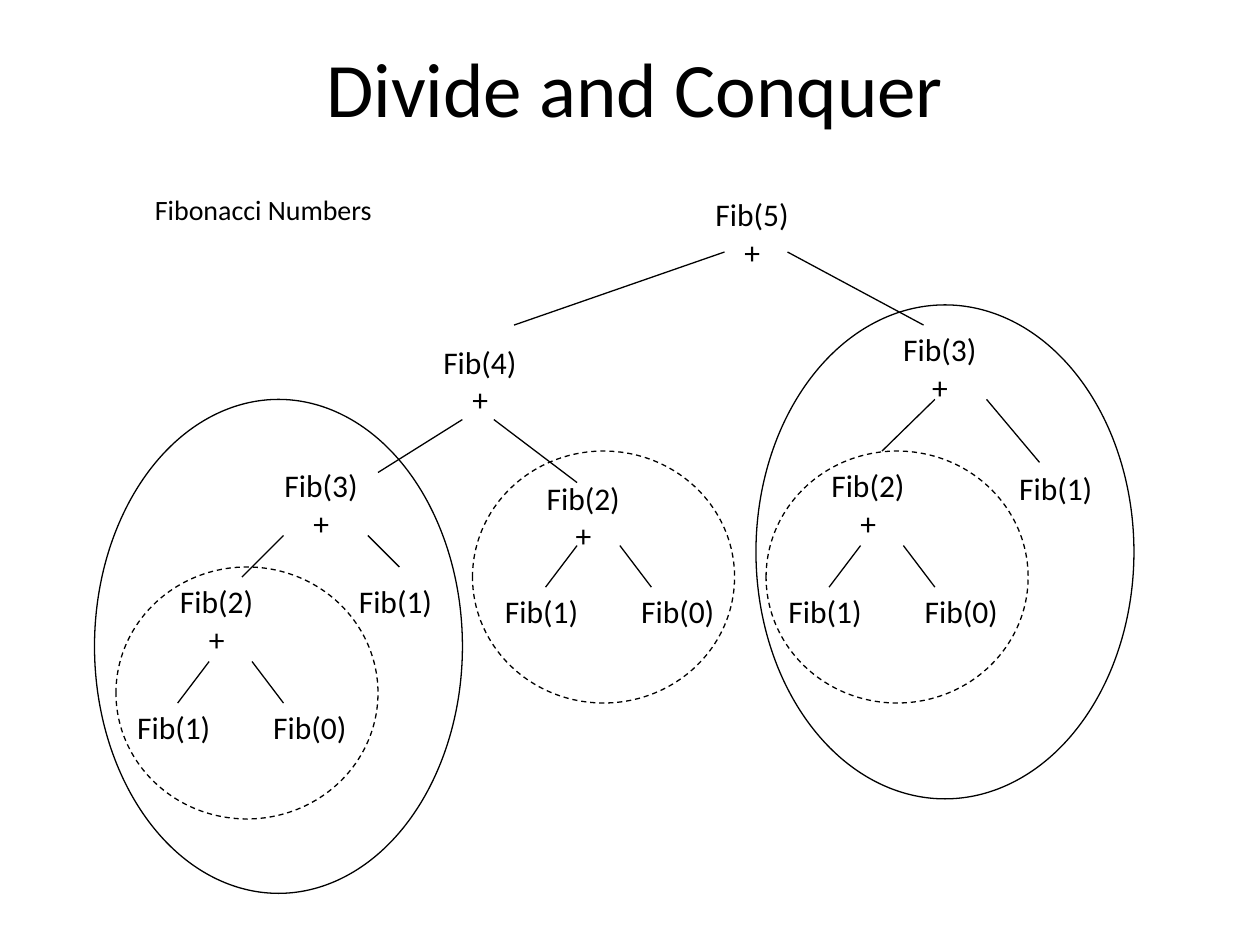
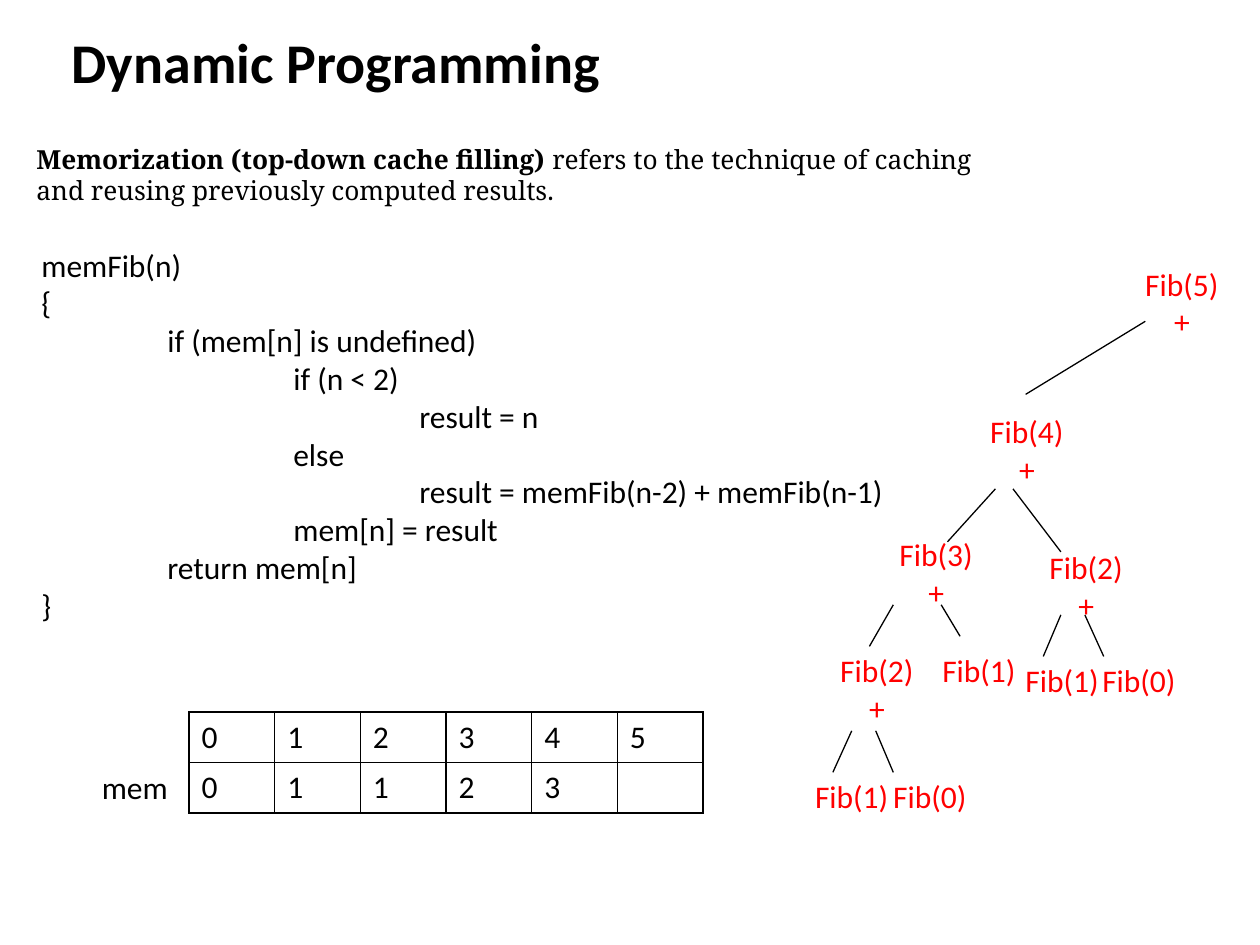
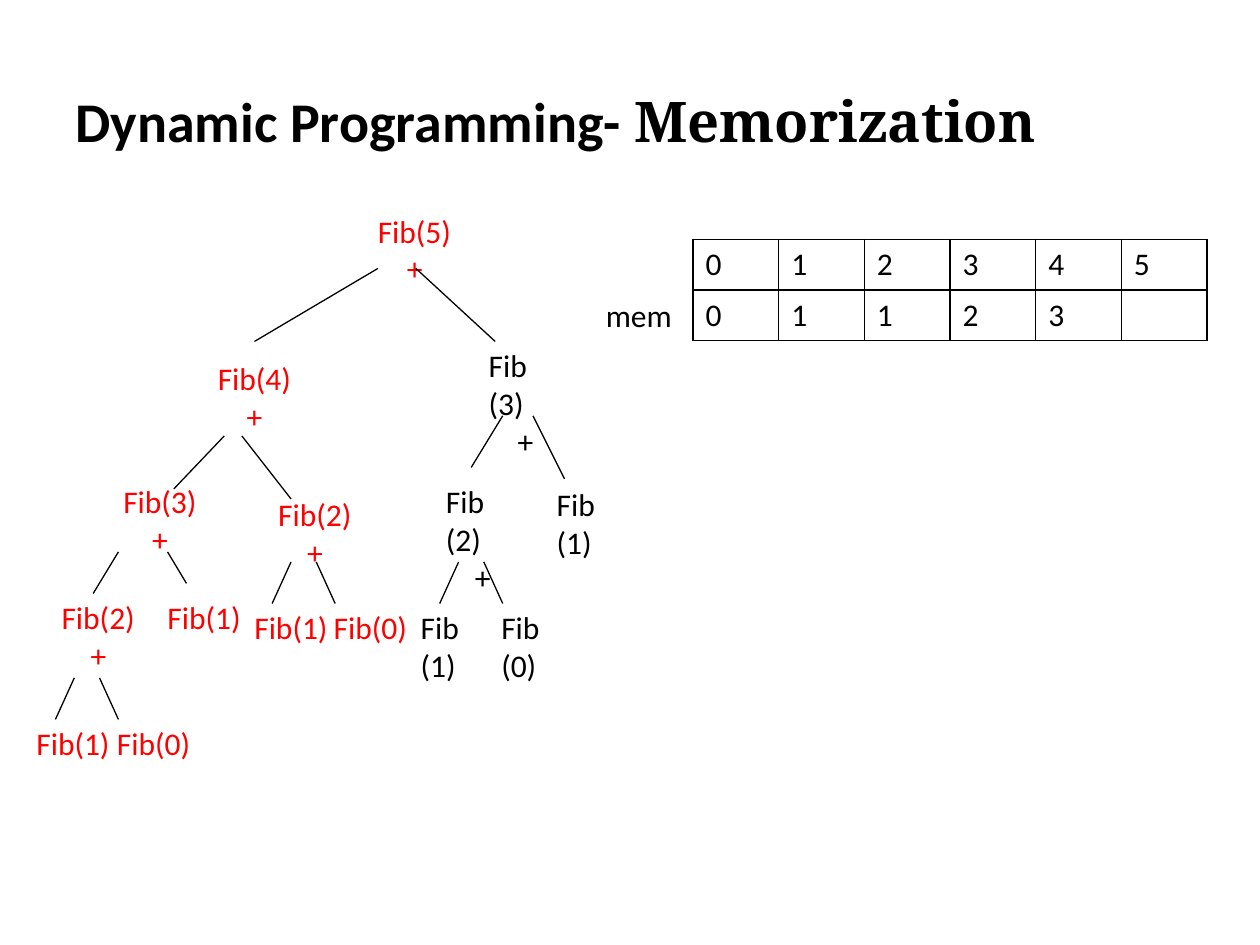
from dataclasses import dataclass

from lxml.etree import SubElement
from pptx import Presentation
from pptx.dml.color import RGBColor
from pptx.enum.dml import MSO_LINE
from pptx.enum.shapes import MSO_CONNECTOR, MSO_SHAPE
from pptx.enum.text import MSO_ANCHOR, PP_ALIGN
from pptx.oxml.ns import qn
from pptx.util import Pt

EMU_PER_PX = 9144  # 100 px to the inch

BLACK = RGBColor(0, 0, 0)
RED = RGBColor(255, 0, 0)
WHITE = RGBColor(255, 255, 255)
SANS = "Calibri"
SERIF = "Noto Serif"

TITLE_SIZE = 32
BODY_SIZE = 18
LINE_WIDTH = 0.75
BORDER_WIDTH = 1
PLUS_INDENT = 23
CODE_INDENT = 100
CELL_WIDTH, CELL_HEIGHT = 68, 40

# Nodes: (n, x, y, is a sum). Edges: (x1, y1, x2, y2). Pairs: place of the Fib(1) leaf.
LEFT_NODES = [
    (5, 558, 150, True),
    (4, 342, 267, True),
    (3, 216, 365, True),
    (2, 424, 375, True),
    (2, 133, 457, True),
    (1, 275, 457, False),
]
LEFT_EDGES = [
    (575, 200, 408, 258),
    (367, 333, 300, 375),
    (392, 333, 458, 383),
    (225, 425, 192, 458),
    (292, 425, 317, 450),
]
LEFT_PAIRS = [(99, 557), (391, 465)]

RIGHT_NODES = [(3, 707, 257, True), (2, 650, 365, True), (1, 799, 367, False)]
RIGHT_EDGES = [
    (625, 200, 733, 258),
    (742, 317, 700, 358),
    (783, 317, 825, 367),
]
RIGHT_PAIRS = [(616, 465)]

MEM_ROWS = [["0", "1", "2", "3", "4", "5"], ["0", "1", "1", "2", "3", ""]]

CODE_LINES = [
    (0, "memFib(n)"),
    (0, "{"),
    (1, "if (mem[n] is undefined)"),
    (2, "if (n < 2)"),
    (3, "result = n"),
    (2, "else"),
    (3, "result = memFib(n-2) + memFib(n-1)"),
    (2, "mem[n] = result"),
    (1, "return mem[n]"),
    (0, "}"),
]


@dataclass
class TreeLayout:
    """Maps tree coordinates to a slide and says how nodes look there."""
    scale: float = 1
    left: int = 0
    top: int = 0
    node_width: int = 93
    node_height: int = 77
    colour: RGBColor = BLACK
    right_margin: int = 0

    def place(self, x, y):
        return round(self.left + self.scale * x), self.top + y


def px(*lengths):
    return [round(length * EMU_PER_PX) for length in lengths]


def style_paragraph(paragraph, size, colour=BLACK, bold=False, indent=0):
    font = paragraph.font
    font.name, font.size, font.bold = SANS, Pt(size), bold
    font.color.rgb = colour
    if indent:
        paragraph._p.get_or_add_pPr().set("marL", str(px(indent)[0]))


def add_text(slide, box, lines, size=BODY_SIZE, colour=BLACK, bold=False,
             align=PP_ALIGN.LEFT, anchor=MSO_ANCHOR.TOP):
    """Add a text box with one paragraph for each (indent, text) line."""
    frame = slide.shapes.add_textbox(*px(*box)).text_frame
    frame.word_wrap = True
    frame.vertical_anchor = anchor
    for index, (indent, text) in enumerate(lines):
        paragraph = frame.paragraphs[0] if index == 0 else frame.add_paragraph()
        paragraph.text = text
        paragraph.alignment = align
        style_paragraph(paragraph, size, colour, bold, indent)
    return frame


def add_serif_run(paragraph, text, bold):
    run = paragraph.add_run()
    run.text = text
    run.font.name, run.font.bold = SERIF, bold


def add_line(slide, start, end):
    connector = slide.shapes.add_connector(MSO_CONNECTOR.STRAIGHT, *px(*start, *end))
    connector.line.color.rgb = BLACK
    connector.line.width = Pt(LINE_WIDTH)
    SubElement(connector._element.spPr, qn("a:effectLst"))


def add_ellipse(slide, box, dashed=False):
    ellipse = slide.shapes.add_shape(MSO_SHAPE.OVAL, *px(*box))
    ellipse.shadow.inherit = False
    ellipse.fill.background()
    ellipse.line.color.rgb = BLACK
    ellipse.line.width = Pt(LINE_WIDTH)
    if dashed:
        ellipse.line.dash_style = MSO_LINE.DASH


def add_node(slide, layout, number, x, y, is_sum):
    lines = [(0, f"Fib({number})")]
    if is_sum:
        lines.append((PLUS_INDENT, "+"))
    box = (*layout.place(x, y), layout.node_width, layout.node_height)
    frame = add_text(slide, box, lines, colour=layout.colour)
    frame.margin_right = px(layout.right_margin)[0]


def add_tree(slide, layout, nodes, edges, pairs):
    """Draw the nodes and edges, and a Fib(1), Fib(0) pair at each leaf place."""
    nodes, edges = list(nodes), list(edges)
    for x, y in pairs:
        nodes += [(1, x, y, False), (0, x + 108, y, False)]
        edges += [(x + 67, y - 32, x + 42, y + 1), (x + 101, y - 32, x + 126, y + 1)]
    for node in nodes:
        add_node(slide, layout, *node)
    for x1, y1, x2, y2 in edges:
        add_line(slide, layout.place(x1, y1), layout.place(x2, y2))


def add_cell_borders(cell):
    properties = cell._tc.get_or_add_tcPr()
    for position, side in enumerate(("lnL", "lnR", "lnT", "lnB")):
        border = properties.makeelement(qn(f"a:{side}"), {"w": str(Pt(BORDER_WIDTH))})
        fill = SubElement(border, qn("a:solidFill"))
        SubElement(fill, qn("a:srgbClr"), val=str(BLACK))
        properties.insert(position, border)


def add_mem_table(slide, left, top):
    add_text(slide, (left - 79, top + CELL_HEIGHT, 75, 40), [(0, "mem")])
    row_count, column_count = len(MEM_ROWS), len(MEM_ROWS[0])
    size = column_count * CELL_WIDTH, row_count * CELL_HEIGHT
    table = slide.shapes.add_table(row_count, column_count, *px(left, top, *size)).table
    table.first_row = table.horz_banding = False
    for row, values in enumerate(MEM_ROWS):
        for column, value in enumerate(values):
            cell = table.cell(row, column)
            cell.text = value
            cell.fill.background()
            style_paragraph(cell.text_frame.paragraphs[0], BODY_SIZE)
            add_cell_borders(cell)


def add_title(slide, left, top, text):
    frame = add_text(slide, (left, top, 875, 64), [(0, text)], TITLE_SIZE, bold=True)
    return frame.paragraphs[0]


def add_definition(slide):
    band = slide.shapes.add_shape(MSO_SHAPE.RECTANGLE, *px(19, 108, 792, 61))
    band.shadow.inherit = False
    band.fill.solid()
    band.fill.fore_color.rgb = WHITE
    band.line.fill.background()
    frame = band.text_frame
    frame.word_wrap = True
    frame.vertical_anchor = MSO_ANCHOR.MIDDLE
    paragraph = frame.paragraphs[0]
    paragraph.alignment = PP_ALIGN.LEFT
    style_paragraph(paragraph, 15)
    add_serif_run(paragraph, "Memorization (top-down cache filling) ", True)
    add_serif_run(paragraph, "refers to the technique of caching and reusing "
                  "previously computed results.", False)


def build_divide_and_conquer(slide):
    centred = {"align": PP_ALIGN.CENTER, "anchor": MSO_ANCHOR.MIDDLE}
    add_text(slide, (54, 6, 900, 125), [(0, "Divide and Conquer")], 44, **centred)
    add_text(slide, (54, 133, 310, 67), [(0, "Fibonacci Numbers")], 16, **centred)
    add_tree(slide, TreeLayout(), LEFT_NODES + RIGHT_NODES,
             LEFT_EDGES + RIGHT_EDGES, LEFT_PAIRS + RIGHT_PAIRS)
    for left, top in ((92, 450), (375, 358), (608, 358)):
        add_ellipse(slide, (left, top, 208, 200), dashed=True)
    add_ellipse(slide, (75, 317, 292, 392))
    add_ellipse(slide, (600, 242, 300, 392))


def build_dynamic_programming(slide):
    add_definition(slide)
    add_title(slide, 47, 17, "Dynamic Programming")
    code = [(level * CODE_INDENT, text) for level, text in CODE_LINES]
    add_text(slide, (23, 190, 692, 313), code)
    add_mem_table(slide, 150, 565)
    layout = TreeLayout(0.57, 581, 55, 79, 71, RED)
    add_tree(slide, layout, LEFT_NODES, LEFT_EDGES, LEFT_PAIRS)


def build_memorization(slide):
    title = add_title(slide, 50, 64, "Dynamic Programming- ")
    add_serif_run(title, "Memorization", True)
    computed = TreeLayout(0.59, -39, 13, 79, 71, RED)
    reused = TreeLayout(0.59, -39, 13, 55, 77, BLACK, right_margin=10)
    add_tree(slide, computed, LEFT_NODES, LEFT_EDGES, LEFT_PAIRS)
    add_tree(slide, reused, RIGHT_NODES, RIGHT_EDGES, RIGHT_PAIRS)
    add_mem_table(slide, 550, 190)


def main():
    presentation = Presentation()
    presentation.slide_width, presentation.slide_height = px(1000, 750)
    blank = presentation.slide_layouts[6]
    for build in (build_divide_and_conquer, build_dynamic_programming, build_memorization):
        build(presentation.slides.add_slide(blank))
    presentation.save("out.pptx")


if __name__ == "__main__":
    main()
